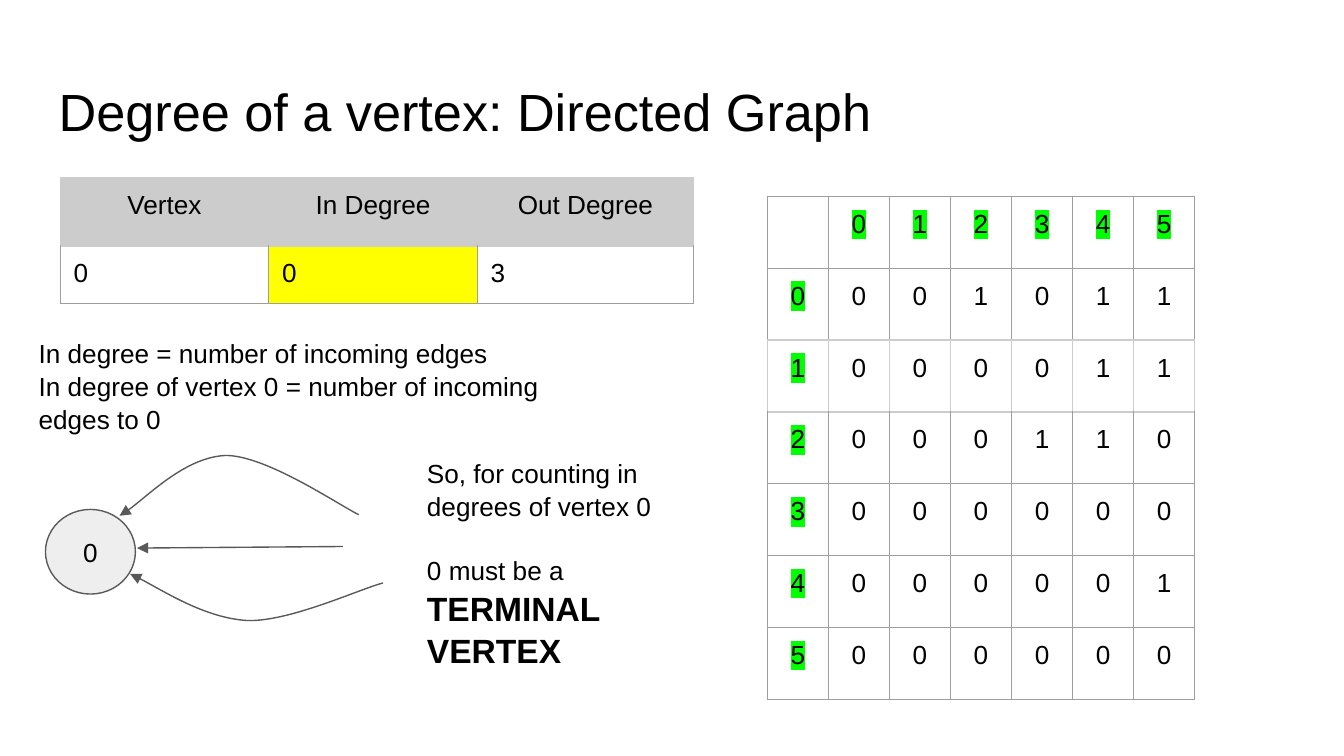
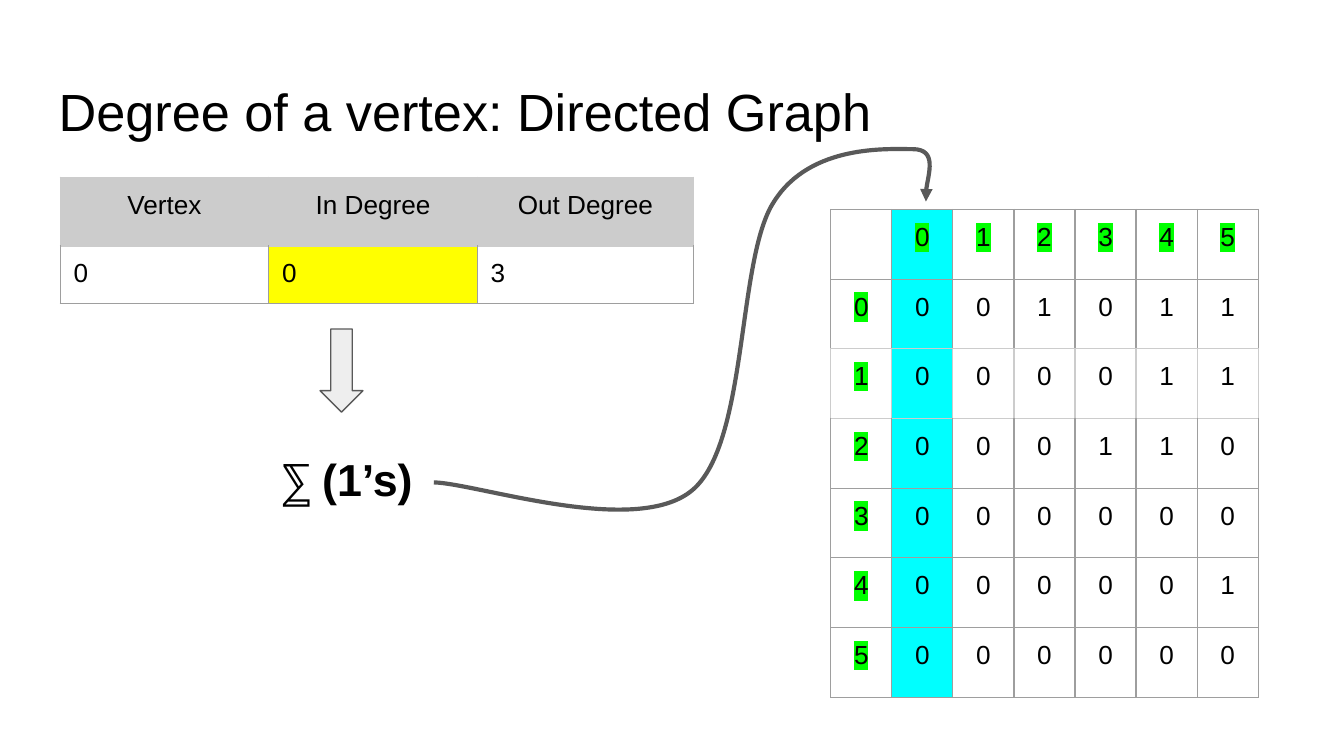
from dataclasses import dataclass

from lxml import etree
from pptx import Presentation
from pptx.dml.color import RGBColor
from pptx.enum.shapes import MSO_CONNECTOR, MSO_SHAPE
from pptx.enum.text import MSO_ANCHOR, PP_ALIGN
from pptx.oxml.ns import qn
from pptx.util import Cm, Pt

LEFT, CENTER = PP_ALIGN.LEFT, PP_ALIGN.CENTER
TOP, MIDDLE = MSO_ANCHOR.TOP, MSO_ANCHOR.MIDDLE
DISC, DOWN = MSO_SHAPE.FLOWCHART_CONNECTOR, MSO_SHAPE.DOWN_ARROW
STRAIGHT = MSO_CONNECTOR.STRAIGHT


@dataclass(frozen=True)
class Theme:
    font: str = "Arial"
    ink: str = "000000"
    edge: str = "9E9E9E"
    pale: str = "CCCCCC"
    line: str = "595959"
    fill: str = "EEEEEE"
    mark: str = "FFFF00"
    green: str = "00FF00"
    cyan: str = "00FFFF"
    title: int = 28
    sum: int = 24
    big: int = 18
    body: int = 14
    thin: float = 0.75
    thick: float = 2.25
    inset: float = 0.25


T = Theme()


def write(frame, lines, anchor=TOP, align=LEFT, glow=None):
    """Fill a frame or cell; each line is (text, size, bold, space before)."""
    frame.margin_left = frame.margin_right = Cm(T.inset)
    frame.margin_top = frame.margin_bottom = Cm(T.inset)
    frame.vertical_anchor = anchor
    body = getattr(frame, "text_frame", frame)
    body.word_wrap = True
    for i, (text, size, bold, gap) in enumerate(lines):
        para = body.add_paragraph() if i else body.paragraphs[0]
        para.alignment = align
        if gap:
            para.space_before = Pt(gap)
        run = para.add_run()
        run.text = text
        font = run.font
        font.size, font.bold = Pt(size), bold
        font.color.rgb = RGBColor.from_string(T.ink)
        if glow:
            high = etree.Element(qn("a:highlight"))
            etree.SubElement(high, qn("a:srgbClr"), val=glow)
            run._r.rPr.find(qn("a:solidFill")).addnext(high)
        font.name = T.font


def grid(slide, spot, cols, rows, data, light, fills, heads):
    """Draw a table whose row number `light` has pale edges all round."""
    left, top = spot
    frame = slide.shapes.add_table(
        len(rows), len(cols), Cm(left), Cm(top), Cm(sum(cols)), Cm(sum(rows)))
    table = frame.table
    table.first_row = table.horz_banding = False
    for col, wide in zip(table.columns, cols):
        col.width = Cm(wide)
    for row, high in zip(table.rows, rows):
        row.height = Cm(high)
    for r, line in enumerate(data):
        for c, text in enumerate(line):
            cell = table.cell(r, c)
            head = heads and 0 in (r, c)
            if text:
                write(cell, [(text, T.body, False, 0)],
                      align=CENTER if heads or r == 0 else LEFT,
                      glow=T.green if head else None)
            if (r, c) in fills:
                cell.fill.solid()
                cell.fill.fore_color.rgb = RGBColor.from_string(fills[r, c])
            else:
                cell.fill.background()
            near = {"L": (light,), "R": (light,),
                    "T": (light, light + 1), "B": (light, light - 1)}
            for i, (side, pales) in enumerate(near.items()):
                edge = etree.Element(qn(f"a:ln{side}"), w=str(Pt(T.thin)))
                paint = etree.SubElement(edge, qn("a:solidFill"))
                etree.SubElement(paint, qn("a:srgbClr"),
                                 val=T.pale if r in pales else T.edge)
                cell._tc.get_or_add_tcPr().insert(i, edge)


deck = Presentation()
deck.slide_width, deck.slide_height = Cm(25.4), Cm(14.29)

degrees = [["Vertex", "In Degree", "Out Degree"], ["0", "0", "3"]]
marks = {(0, c): T.pale for c in range(3)} | {(1, 1): T.mark}
links = ["001011", "000011", "000110", "000000", "000001", "000000"]
matrix = [["", *"012345"]] + [[str(i), *row] for i, row in enumerate(links)]
column = {(r, 1): T.cyan for r in range(7)}

# Title and both tables on each slide
pages = []
for spot, high, fills in [((14.5, 3.71), 9.52, {}),
                          ((15.7, 3.96), 9.22, column)]:
    slide = deck.slides.add_slide(deck.slide_layouts[6])
    pages.append(slide)
    title = slide.shapes.add_textbox(Cm(0.86), Cm(1.24), Cm(23.67), Cm(1.6))
    write(title.text_frame,
          [("Degree of a vertex: Directed Graph", T.title, False, 0)])
    grid(slide, (1.14, 3.35), [3.94, 3.94, 4.09], [1.3, 1.09],
         degrees, 0, marks, False)
    grid(slide, spot, [8.08 / 7] * 7, [high / 7] * 7, matrix, 2, fills, True)
first, last = pages

# Text boxes
notes = [
    (first, (0.48, 6.1, 11.33, 2.13), [
        ("In degree = number of incoming edges", T.body, False, 0),
        ("In degree of vertex 0 = number of incoming edges to 0",
         T.body, False, 0)]),
    (first, (7.82, 8.36, 5.26, 5.0), [
        ("So, for counting in degrees of vertex 0", T.body, False, 0),
        ("0 must be a", T.body, False, 17),
        ("TERMINAL VERTEX", T.big, True, 0)]),
    (last, (5.08, 8.28, 3.07, 1.27), [("⅀ (1’s)", T.sum, True, 0)]),
]
for slide, area, lines in notes:
    box = slide.shapes.add_textbox(*map(Cm, area))
    write(box.text_frame, lines)
    for para in box.text_frame.paragraphs:
        para.line_spacing = 1.05 if slide is first else 1.0

# Vertex and down arrow
for slide, kind, area, text in [(first, DISC, (0.86, 9.63, 1.7, 1.6), "0"),
                                (last, DOWN, (6.05, 6.22, 0.81, 1.57), "")]:
    shape = slide.shapes.add_shape(kind, *map(Cm, area))
    shape.shadow.inherit = False
    shape.fill.solid()
    shape.fill.fore_color.rgb = RGBColor.from_string(T.fill)
    shape.line.color.rgb = RGBColor.from_string(T.line)
    shape.line.width = Pt(T.thin)
    if text:
        write(shape.text_frame, [(text, T.body, False, 0)], MIDDLE, CENTER)

# Curved edges: a start, then (control, control, end) for each bend
curves = [
    (first, T.thin, "headEnd", (2.26, 9.75), [
        ((2.59, 9.58), (3.51, 8.64), (4.27, 8.61)),
        ((5.03, 8.61), (6.38, 9.53), (6.78, 9.73))]),
    (first, T.thin, "headEnd", (2.46, 10.85), [
        ((2.82, 11.0), (3.86, 11.68), (4.67, 11.73)),
        ((5.46, 11.76), (6.81, 11.13), (7.24, 11.02))]),
    (last, T.thick, "tailEnd", (8.2, 9.12), [
        ((9.02, 9.14), (12.01, 10.16), (13.08, 9.27)),
        ((14.15, 8.38), (13.92, 4.88), (14.63, 3.81)),
        ((15.32, 2.72), (16.79, 2.82), (17.25, 2.82)),
        ((17.73, 2.82), (17.45, 3.63), (17.5, 3.81))]),
]
arrows = []
for slide, width, end, start, bends in curves:
    pen = slide.shapes.build_freeform(*map(Cm, start))
    pen.add_line_segments([tuple(map(Cm, b[2])) for b in bends], close=False)
    curve = pen.convert_to_shape()
    curve.shadow.inherit = False
    curve.fill.background()
    steps = list(curve._element.iter(qn("a:lnTo")))
    for step, bend in zip(steps, bends):
        cubic = etree.Element(qn("a:cubicBezTo"))
        for x, y in bend:
            etree.SubElement(cubic, qn("a:pt"), x=str(Cm(x) - curve.left),
                             y=str(Cm(y) - curve.top))
        step.getparent().replace(step, cubic)
    arrows.append((curve, width, end))

edge = first.shapes.add_connector(
    STRAIGHT, Cm(2.59), Cm(10.36), Cm(6.48), Cm(10.33))
arrows.append((edge, T.thin, "headEnd"))

for arrow, width, end in arrows:
    arrow.line.color.rgb = RGBColor.from_string(T.line)
    arrow.line.width = Pt(width)
    props = arrow._element.spPr
    etree.SubElement(props.find(qn("a:ln")), qn(f"a:{end}"), type="triangle")
etree.SubElement(edge._element.spPr, qn("a:effectLst"))

deck.save("out.pptx")
